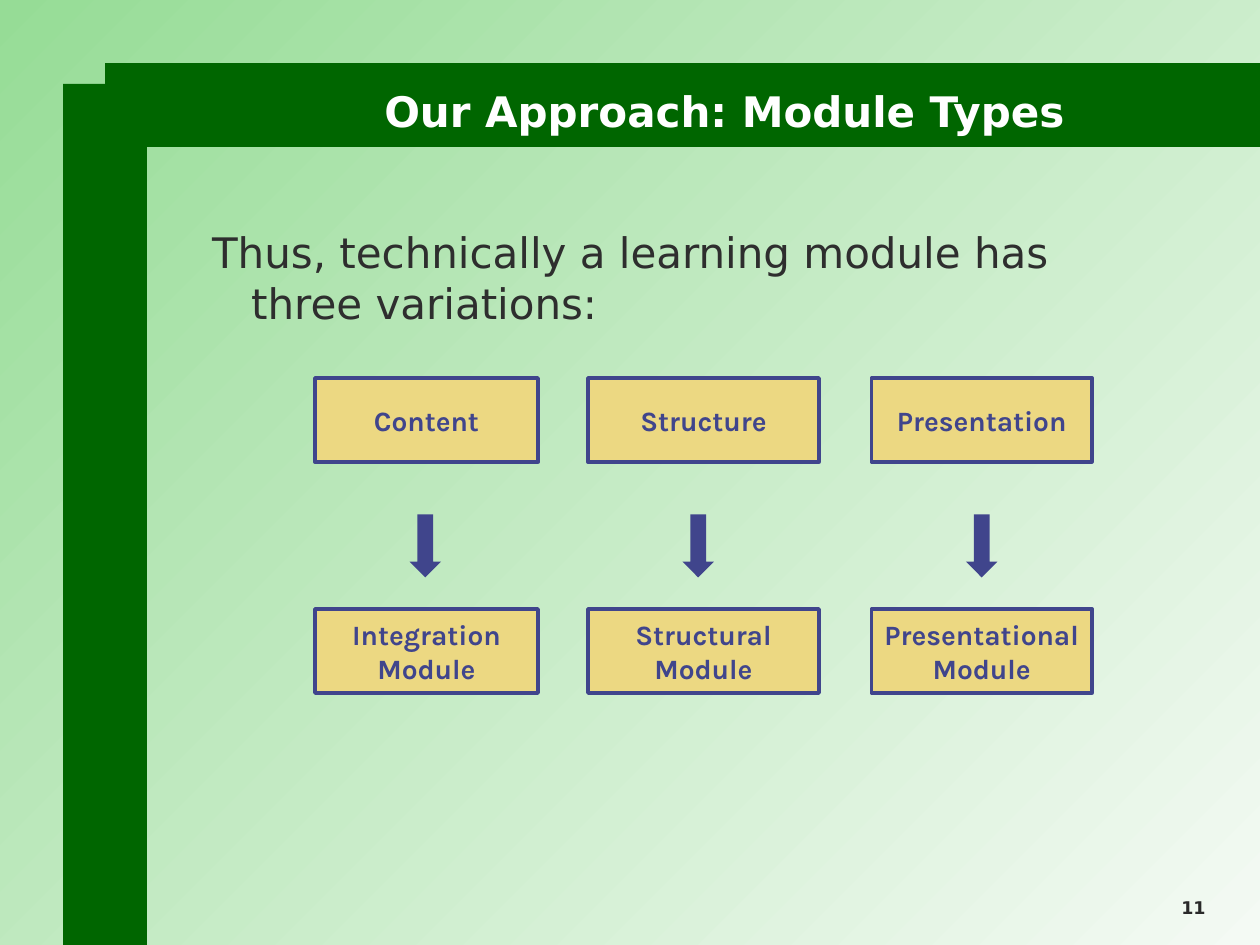
from lxml import etree
from pptx import Presentation
from pptx.dml.color import RGBColor
from pptx.enum.shapes import MSO_SHAPE
from pptx.enum.text import MSO_ANCHOR, MSO_AUTO_SIZE, PP_ALIGN
from pptx.oxml.ns import qn
from pptx.util import Inches, Pt

RECT, ARROW = MSO_SHAPE.RECTANGLE, MSO_SHAPE.DOWN_ARROW
TOP, MIDDLE, BOTTOM = MSO_ANCHOR.TOP, MSO_ANCHOR.MIDDLE, MSO_ANCHOR.BOTTOM
LEFT, CENTER, RIGHT = PP_ALIGN.LEFT, PP_ALIGN.CENTER, PP_ALIGN.RIGHT
NO_FIT = MSO_AUTO_SIZE.NONE

GREEN, GOLD, INDIGO = "006600", "ECD882", "40458C"
MAIN, LABEL = "DejaVu Sans", "Karla"

# Columns of the diagram: left, width, kind of content, module type
COLUMNS = [
    (30, 21.25, "Content", "Integration"),
    (56, 22, "Structure", "Structural"),
    (83, 21, "Presentation", "Presentational"),
]
KIND_ROW, ARROW_ROW, TYPE_ROW = 36, 49, 58


def grid(*cells):
    """Turn grid cells of a twelfth of an inch into lengths."""
    return [Inches(cell / 12) for cell in cells]


def color(code):
    return RGBColor.from_string(code)


def place(shape, *cells):
    shape.left, shape.top, shape.width, shape.height = grid(*cells)


def write(shape, text, size, font, ink, bold, align, anchor, wrap=True):
    frame = shape.text_frame
    frame.text = text
    frame.auto_size = NO_FIT
    frame.word_wrap = wrap
    frame.vertical_anchor = anchor
    for para in frame.paragraphs:
        para.alignment = align
        for run in para.runs:
            run.font.size = Pt(size)
            run.font.name = font
            run.font.bold = bold
            run.font.color.rgb = color(ink)


def add_solid(shapes, kind, cells, fill):
    shape = shapes.add_shape(kind, *grid(*cells))
    shape.shadow.inherit = False
    shape.fill.solid()
    shape.fill.fore_color.rgb = color(fill)
    shape.line.fill.background()
    return shape


def add_box(shapes, cells, text):
    box = add_solid(shapes, RECT, cells, GOLD)
    box.line.color.rgb = color(INDIGO)
    box.line.width = Pt(2)
    write(box, text, 16, LABEL, INDIGO, True, CENTER, MIDDLE, False)


def add_column(shapes, left, width, kind, module):
    add_box(shapes, (left, KIND_ROW, width, 8), kind)
    group = shapes.add_group_shape().shapes
    add_box(group, (left, TYPE_ROW, width, 8), f"{module}\nModule")
    add_solid(group, ARROW, (left + 9, ARROW_ROW, 3, 6), INDIGO)


def paint_back(slide):
    fill = slide.background.fill
    fill.gradient()
    fill.gradient_angle = 135
    for stop, code in zip(fill.gradient_stops, ("F4FAF4", "96DC96")):
        stop.color.rgb = color(code)


def add_bands(slide):
    """Draw the green bands behind the placeholders."""
    for cells in ((10, 6, 110, 8), (6, 8, 8, 82)):
        band = add_solid(slide.shapes, RECT, cells, GREEN)
        slide.shapes.title._element.addprevious(band._element)


def fill_body(body):
    place(body, 19, 21, 93, 60)
    write(body, "Thus, technically a learning module has three variations:",
          24, MAIN, "2E2E2E", False, LEFT, TOP)
    para = body.text_frame.paragraphs[0]
    para.space_before = Pt(6)
    props = para._p.get_or_add_pPr()
    props.set("marL", str(Inches(0.31)))
    props.set("indent", str(Inches(-0.31)))
    etree.SubElement(props, qn("a:buNone"))


def main():
    deck = Presentation()
    deck.slide_width, deck.slide_height = grid(120, 90)
    slide = deck.slides.add_slide(deck.slide_layouts[1])
    shapes = slide.shapes
    paint_back(slide)
    add_bands(slide)

    place(shapes.title, 18, 3, 102, 15)
    write(shapes.title, "Our Approach: Module Types",
          24, MAIN, "FFFFFF", True, CENTER, MIDDLE)
    fill_body(slide.placeholders[1])
    for column in COLUMNS:
        add_column(shapes, *column)

    number = shapes.add_textbox(*grid(105, 82, 11, 6))
    write(number, "11", 10, MAIN, "292929", True, RIGHT, BOTTOM)
    deck.save("out.pptx")


if __name__ == "__main__":
    main()
